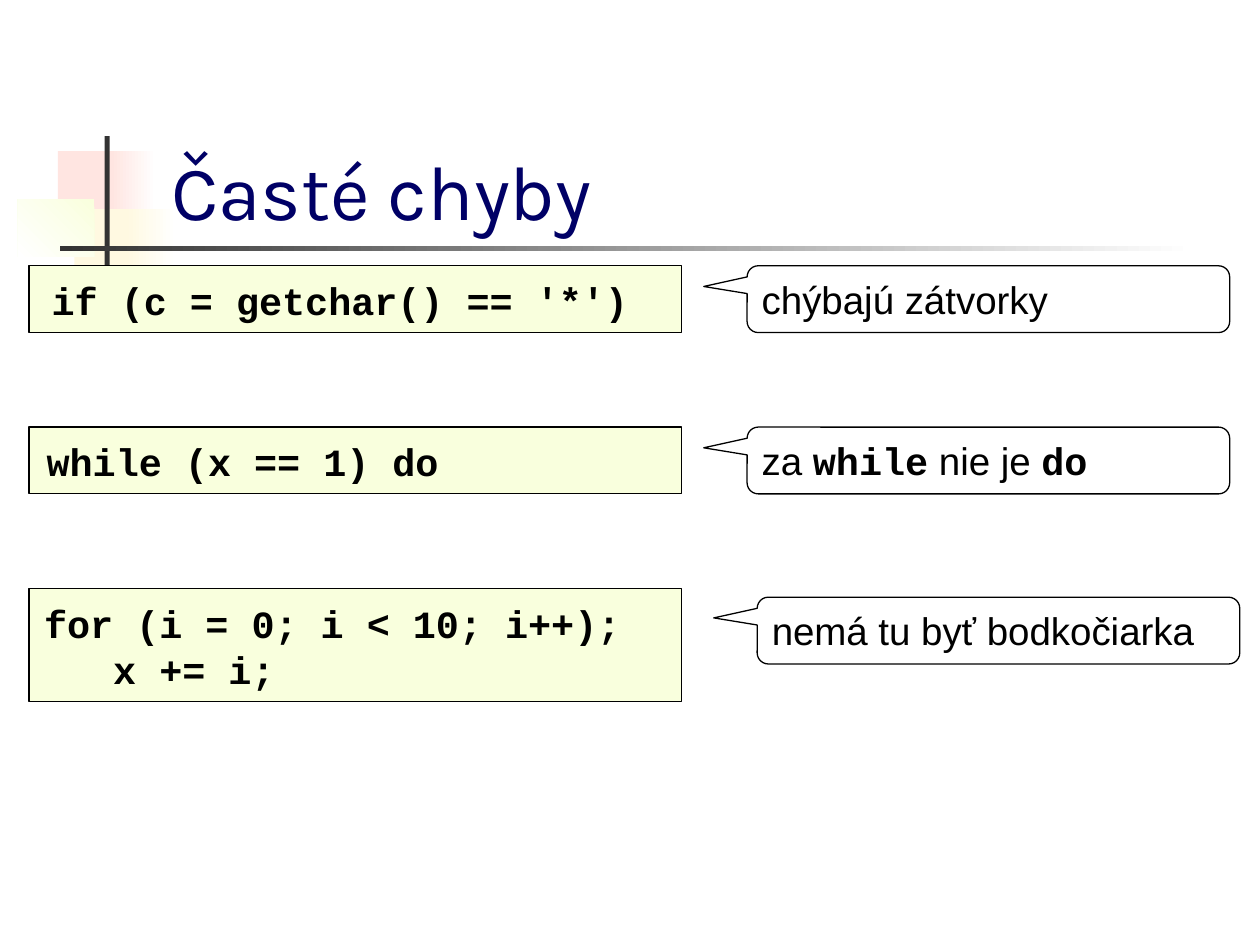
import pptx
import pptx.util
import pptx.dml.color
import pptx.enum.shapes
import pptx.enum.text

Inches = pptx.util.Inches
Pt = pptx.util.Pt
RGB = pptx.dml.color.RGBColor.from_string
SHAPE = pptx.enum.shapes.MSO_SHAPE
ANCHOR = pptx.enum.text.MSO_ANCHOR
AUTO = pptx.enum.text.MSO_AUTO_SIZE
ALIGN = pptx.enum.text.PP_ALIGN

COLORS = {
    "white": "FFFFFF", "black": "000000", "navy": "000066", "dark": "333333",
    "pink": "FFE5E1", "cream": "FFF9E1", "lime": "F9FFDD",
}
CODE = {"name": "Courier New", "size": Pt(22), "bold": True}
PLAIN = {"name": "Arial", "size": Pt(22), "bold": False}
INSETS = {
    "margin_left": Inches(0.09), "margin_right": Inches(0.09),
    "margin_top": Inches(0.05), "margin_bottom": Inches(0.05),
}


def add_box(shapes, kind, at, fill, line=None):
    sp = shapes.add_shape(kind, *[Inches(v) for v in at])
    sp.shadow.inherit = False
    sp.fill.solid()
    sp.fill.fore_color.rgb = RGB(COLORS[fill])
    if line:
        sp.line.color.rgb = RGB(COLORS[line])
        sp.line.width = Pt(0.75)
    else:
        sp.line.fill.background()
    return sp


def add_run(p, text, font, color="black"):
    r = p.add_run()
    r.text = text
    for name, value in font.items():
        setattr(r.font, name, value)
    r.font.color.rgb = RGB(COLORS[color])


prs = pptx.Presentation()
prs.slide_width, prs.slide_height = Inches(10), Inches(7.5)
s = prs.slides.add_slide(prs.slide_layouts[5])

decorations = [
    ((0.46, 1.2, 0.48, 0.52), "pink", None, None),
    ((0.88, 1.2, 0.36, 0.52), "white", "pink", 180),
    ((0.59, 1.66, 0.46, 0.52), "cream", None, None),
    ((1, 1.66, 0.4, 0.52), "white", "cream", 180),
    ((0.14, 1.58, 0.61, 0.46), "lime", "white", 225),
    ((0.83, 1.08, 0.04, 1.15), "dark", None, None),
    ((0.48, 1.95, 9, 0.04), "white", "dark", 180),
]
for at, start, end, angle in decorations:
    sp = add_box(s.shapes, SHAPE.RECTANGLE, at, start)
    if end:
        sp.fill.gradient()
        sp.fill.gradient_angle = angle
        for stop, color in zip(sp.fill.gradient_stops, (start, end)):
            stop.color.rgb = RGB(COLORS[color])

title = s.shapes.title
sp.element.addnext(title.element)
title.left, title.top = Inches(1.26), Inches(0.67)
title.width, title.height = Inches(8.52), Inches(1.25)
tf = title.text_frame
tf.auto_size = AUTO.NONE
tf.vertical_anchor = ANCHOR.BOTTOM
p = tf.paragraphs[0]
p.alignment = ALIGN.LEFT
add_run(p, "Časté chyby", {"name": "Karla", "size": Pt(44)}, "navy")

mistakes = [
    (2.11, 0.53, (0.32, 4.8), ["if (c = getchar() == '*')"],
     (5.93, 2.11), [("chýbajú zátvorky", PLAIN)]),
    (3.39, 0.53, (0.28, 3.35), ["while (x == 1) do"],
     (5.93, 3.39), [("za ", PLAIN), ("while", CODE), (" nie je ", PLAIN), ("do", CODE)]),
    (4.67, 0.9, (0.26, 4.8), ["for (i = 0; i < 10; i++);", "   x += i;"],
     (6.01, 4.74), [("nemá tu byť bodkočiarka", PLAIN)]),
]
for top, height, (left, width), lines, callout_at, runs in mistakes:
    group = s.shapes.add_group_shape()
    add_box(group.shapes, SHAPE.RECTANGLE, (0.23, top, 5.18, height), "lime", "black")
    code = group.shapes.add_textbox(
        Inches(left), Inches(top + 0.04), Inches(width), Inches(height - 0.07))
    callout = add_box(s.shapes, SHAPE.ROUNDED_RECTANGULAR_CALLOUT,
                      (*callout_at, 3.83, 0.53), "white", "black")
    for i, value in enumerate((-0.59, -0.19, 0.167)):
        callout.adjustments[i] = value
    for sp in (code, callout):
        for name, value in INSETS.items():
            setattr(sp.text_frame, name, value)

    tf = code.text_frame
    tf.word_wrap = False
    tf.auto_size = AUTO.SHAPE_TO_FIT_TEXT
    for i, text in enumerate(lines):
        p = tf.add_paragraph() if i else tf.paragraphs[0]
        p.alignment = ALIGN.LEFT
        add_run(p, text, CODE)

    tf = callout.text_frame
    tf.word_wrap = True
    tf.vertical_anchor = ANCHOR.MIDDLE
    p = tf.paragraphs[0]
    p.alignment = ALIGN.LEFT
    for text, font in runs:
        add_run(p, text, font)

prs.save("out.pptx")
